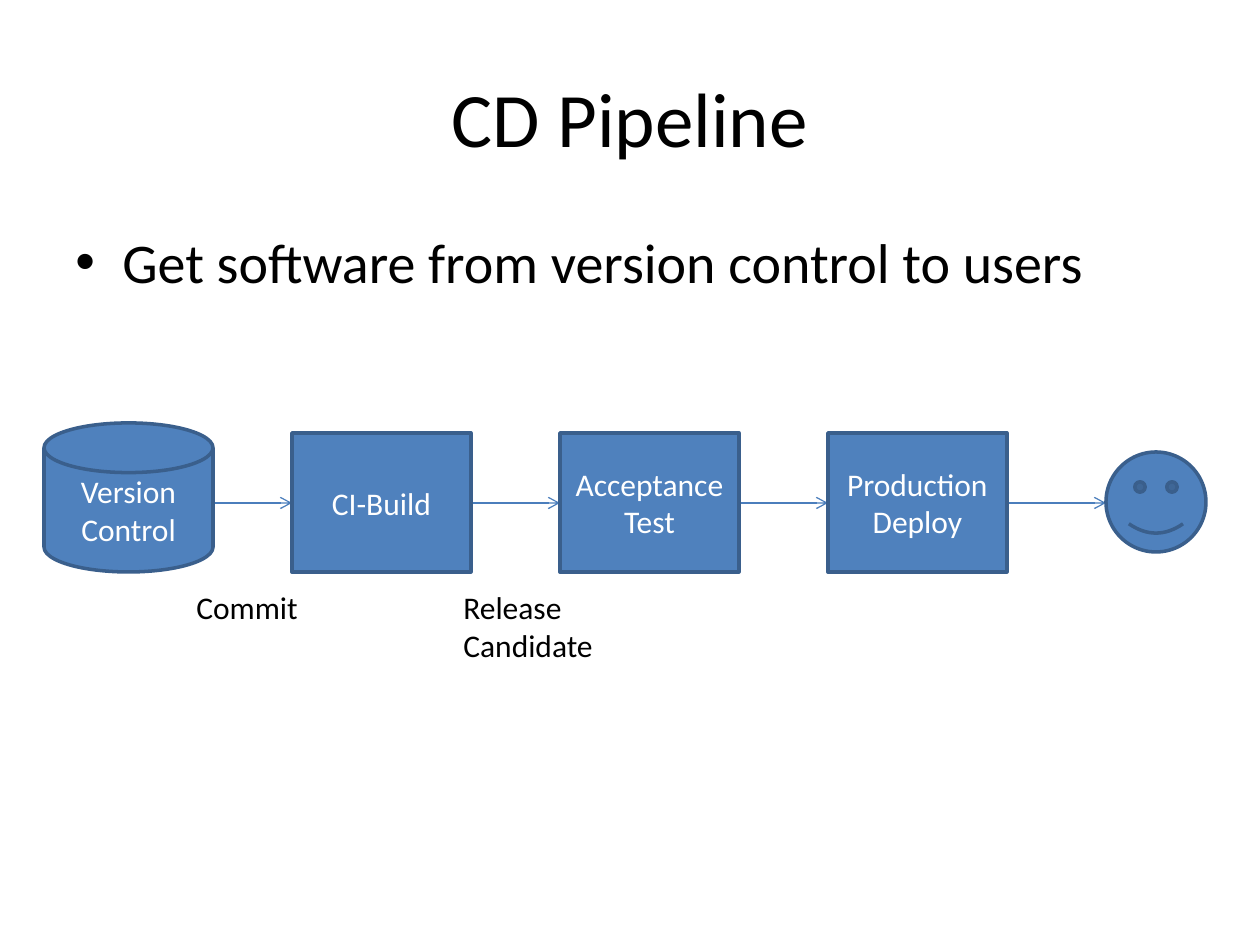
from lxml import etree
from pptx import Presentation
from pptx.dml.color import RGBColor
from pptx.enum.shapes import MSO_CONNECTOR, MSO_SHAPE
from pptx.enum.text import MSO_ANCHOR, PP_ALIGN
from pptx.oxml.ns import qn
from pptx.util import Pt

PIXEL = 914400 / 126
BLACK = RGBColor(0x00, 0x00, 0x00)
WHITE = RGBColor(0xFF, 0xFF, 0xFF)
BLUE = RGBColor(0x4F, 0x81, 0xBD)
OUTLINE = RGBColor(0x3A, 0x5F, 0x8C)
ARROW = RGBColor(0x4B, 0x7E, 0xBC)
RECTANGLE = MSO_SHAPE.RECTANGLE
DISK = MSO_SHAPE.FLOWCHART_MAGNETIC_DISK
SMILEY = MSO_SHAPE.SMILEY_FACE
STRAIGHT = MSO_CONNECTOR.STRAIGHT
LEFT, CENTER = PP_ALIGN.LEFT, PP_ALIGN.CENTER
TOP, MIDDLE = MSO_ANCHOR.TOP, MSO_ANCHOR.MIDDLE

STAGE_LEFT, STAGE_STEP, STAGE_WIDTH = 292, 268, 179
FLOW_Y = 503


def px(*values):
    return [round(value * PIXEL) for value in values]


def write(shape, text, size, color, align, anchor):
    frame = shape.text_frame
    frame.word_wrap = True
    frame.vertical_anchor = anchor
    paragraph = frame.paragraphs[0]
    paragraph.alignment = align
    run = paragraph.add_run()
    run.text = text
    run.font.color.rgb = color
    for name, value in {"name": "Calibri", "size": Pt(size)}.items():
        setattr(run.font, name, value)
    return paragraph


presentation = Presentation()
presentation.slide_width, presentation.slide_height = px(1260, 945)
slide = presentation.slides.add_slide(presentation.slide_layouts[5])
shapes = slide.shapes

title = shapes.title
title.left, title.top, title.width, title.height = px(63, 38, 1134, 157)
write(title, "CD Pipeline", 44, BLACK, CENTER, MIDDLE)

body = shapes.add_textbox(*px(63, 221, 1134, 624))
bullet = write(body, "Get software from version control to users", 32, BLACK, LEFT, TOP)
properties = bullet._p.get_or_add_pPr()
indent = px(47)[0]
properties.set("marL", str(indent))
properties.set("indent", str(-indent))
etree.SubElement(properties, qn("a:buFont"), typeface="Arial")
etree.SubElement(properties, qn("a:buChar"), char="•")

stage_names = ["CI-Build", "Acceptance Test", "Production Deploy"]
stage_lefts = [STAGE_LEFT + index * STAGE_STEP for index in range(len(stage_names))]
stage_rights = [left + STAGE_WIDTH for left in stage_lefts]

for start, end in zip([184] + stage_rights, stage_lefts + [1106]):
    connector = shapes.add_connector(STRAIGHT, *px(start, FLOW_Y, end, FLOW_Y))
    connector.line.color.rgb = ARROW
    connector.line.width = Pt(0.75)
    etree.SubElement(connector.line._get_or_add_ln(), qn("a:tailEnd"), type="arrow")
    etree.SubElement(connector._element.spPr, qn("a:effectLst"))

nodes = [(RECTANGLE, name, left, 433, STAGE_WIDTH, 139)
         for name, left in zip(stage_names, stage_lefts)]
nodes += [(DISK, "Version Control", 44, 423, 169, 149),
          (SMILEY, "", 1106, 452, 100, 100)]
for kind, text, *box in nodes:
    node = shapes.add_shape(kind, *px(*box))
    node.shadow.inherit = False
    node.fill.solid()
    node.fill.fore_color.rgb = BLUE
    node.line.color.rgb = OUTLINE
    node.line.width = Pt(2)
    if text:
        write(node, text, 18, WHITE, CENTER, MIDDLE)

for text, left, width, height in [("Commit", 184, 139, 50),
                                  ("Release Candidate", 451, 178, 89)]:
    label = shapes.add_textbox(*px(left, 582, width, height))
    write(label, text, 18, BLACK, LEFT, TOP)

presentation.save("out.pptx")
